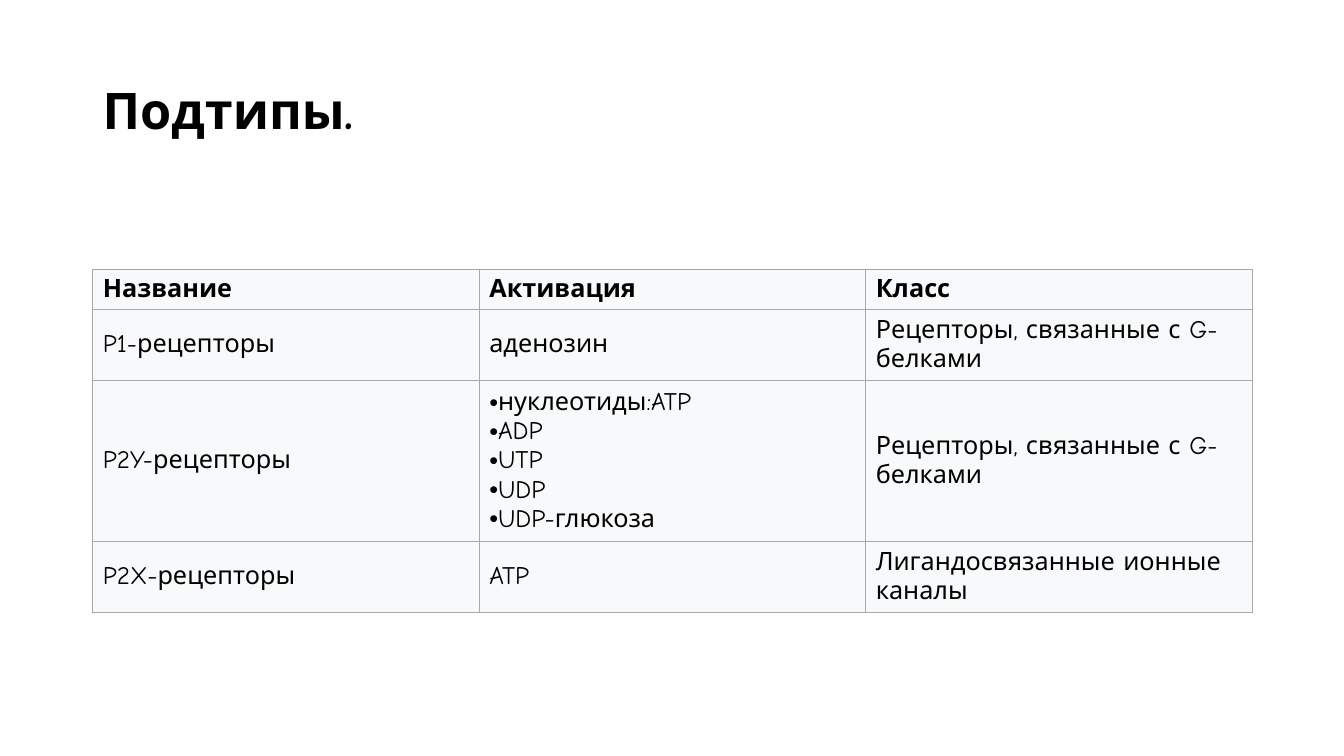
import pptx
import pptx.dml.color
import pptx.enum.text
import pptx.oxml.ns
import pptx.util
from lxml import etree

Inches = pptx.util.Inches
Pt = pptx.util.Pt

COLORS = {"text": "000000", "cell": "F8F9FA", "border": "A2A9B1"}
FONT = "Comic Neue"
LEFT, WIDTH = 0.92, 11.5
ROW_HEIGHTS = [0.4, 0.68, 1.54, 0.68]
ROWS = [
    ["Название", "Активация", "Класс"],
    ["P1-рецепторы", "аденозин", "Рецепторы, связанные с G-белками"],
    ["P2Y-рецепторы", ["нуклеотиды:ATP", "ADP", "UTP", "UDP", "UDP-глюкоза"],
     "Рецепторы, связанные с G-белками"],
    ["P2X-рецепторы", "ATP", "Лигандосвязанные ионные каналы"],
]


def rgb(name):
    return pptx.dml.color.RGBColor.from_string(COLORS[name])


def add_child(parent, tag, **attributes):
    return etree.SubElement(parent, pptx.oxml.ns.qn(tag), attributes)


def write_paragraph(paragraph, text, size, bold):
    run = paragraph.add_run()
    run.text = text
    font_format = {"name": FONT, "size": Pt(size), "bold": bold}
    for attribute, value in font_format.items():
        setattr(run.font, attribute, value)
    run.font.color.rgb = rgb("text")


def add_title(slide, text):
    shape = slide.shapes.add_textbox(Inches(LEFT), Inches(0.4), Inches(WIDTH), Inches(1.45))
    frame = shape.text_frame
    frame.word_wrap = True
    frame.vertical_anchor = pptx.enum.text.MSO_ANCHOR.MIDDLE
    paragraph = frame.paragraphs[0]
    paragraph.line_spacing = 0.9
    write_paragraph(paragraph, text, 36, True)


def add_borders(cell):
    """Outline all four sides; call before filling, as the schema puts lines first."""
    properties = cell._tc.get_or_add_tcPr()
    for side in "LRTB":
        line = add_child(properties, f"a:ln{side}", w=str(Pt(0.6)))
        fill = add_child(line, "a:solidFill")
        add_child(fill, "a:srgbClr", val=COLORS["border"])


def fill_cell(cell, content, bold):
    """Write a string as plain text and a list as bulleted paragraphs."""
    add_borders(cell)
    cell.fill.solid()
    cell.fill.fore_color.rgb = rgb("cell")
    cell.vertical_anchor = pptx.enum.text.MSO_ANCHOR.MIDDLE
    bulleted = isinstance(content, list)
    frame = cell.text_frame
    for index, text in enumerate(content if bulleted else [content]):
        paragraph = frame.add_paragraph() if index else frame.paragraphs[0]
        write_paragraph(paragraph, text, 18, bold)
        if bulleted:
            properties = paragraph._p.get_or_add_pPr()
            add_child(properties, "a:buFont", typeface="Arial")
            add_child(properties, "a:buChar", char="•")


def add_receptor_table(slide):
    column_count = len(ROWS[0])
    table = slide.shapes.add_table(
        len(ROWS), column_count, Inches(LEFT), Inches(2.67),
        Inches(WIDTH), Inches(sum(ROW_HEIGHTS))).table
    for column in table.columns:
        column.width = Inches(WIDTH / column_count)
    for row_index, (height, contents) in enumerate(zip(ROW_HEIGHTS, ROWS)):
        table.rows[row_index].height = Inches(height)
        for column_index, content in enumerate(contents):
            fill_cell(table.cell(row_index, column_index), content, row_index == 0)


def main():
    presentation = pptx.Presentation()
    presentation.slide_width = Inches(13.33)
    presentation.slide_height = Inches(7.5)
    slide = presentation.slides.add_slide(presentation.slide_layouts[6])
    add_title(slide, "Подтипы.")
    add_receptor_table(slide)
    presentation.save("out.pptx")


if __name__ == "__main__":
    main()
